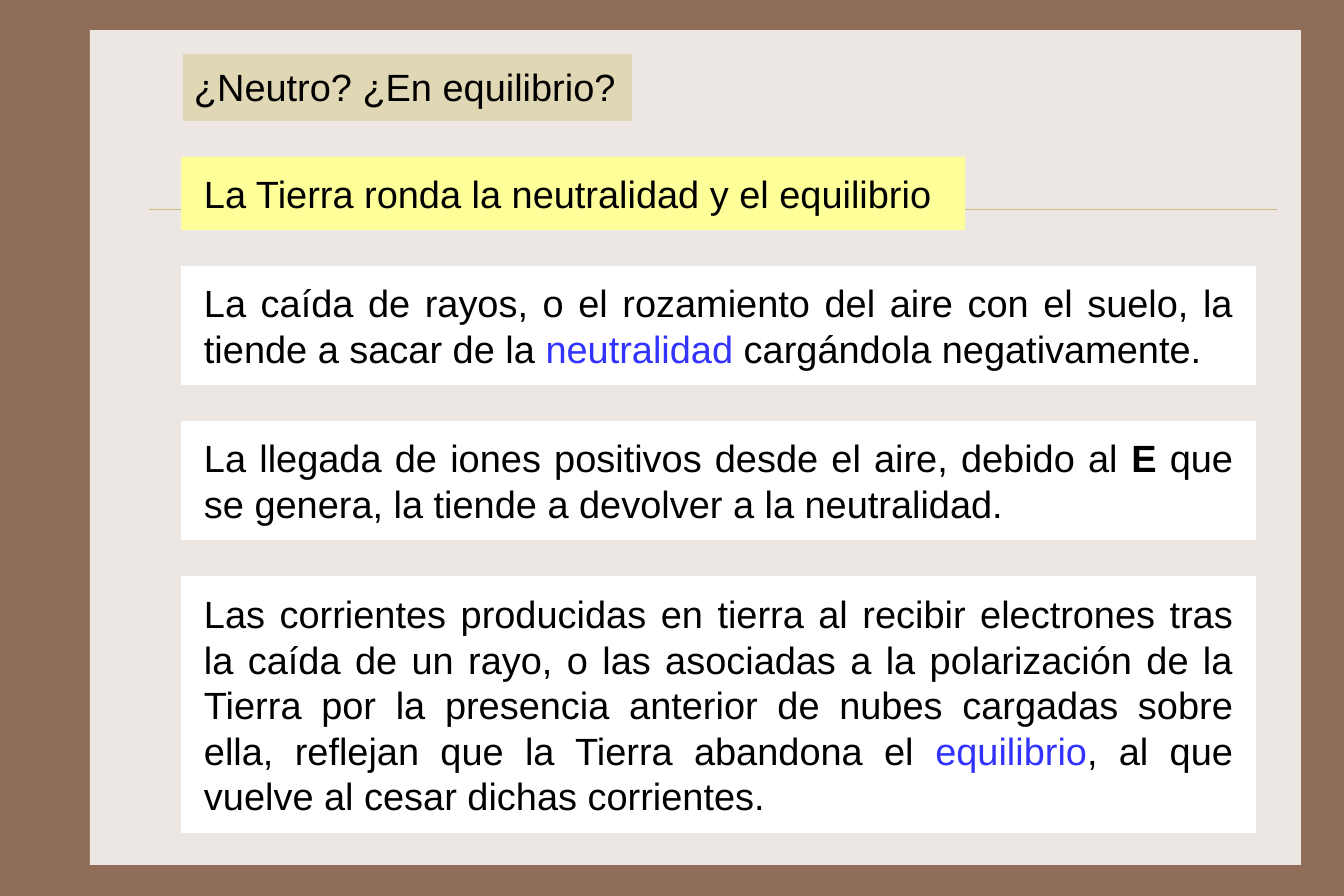
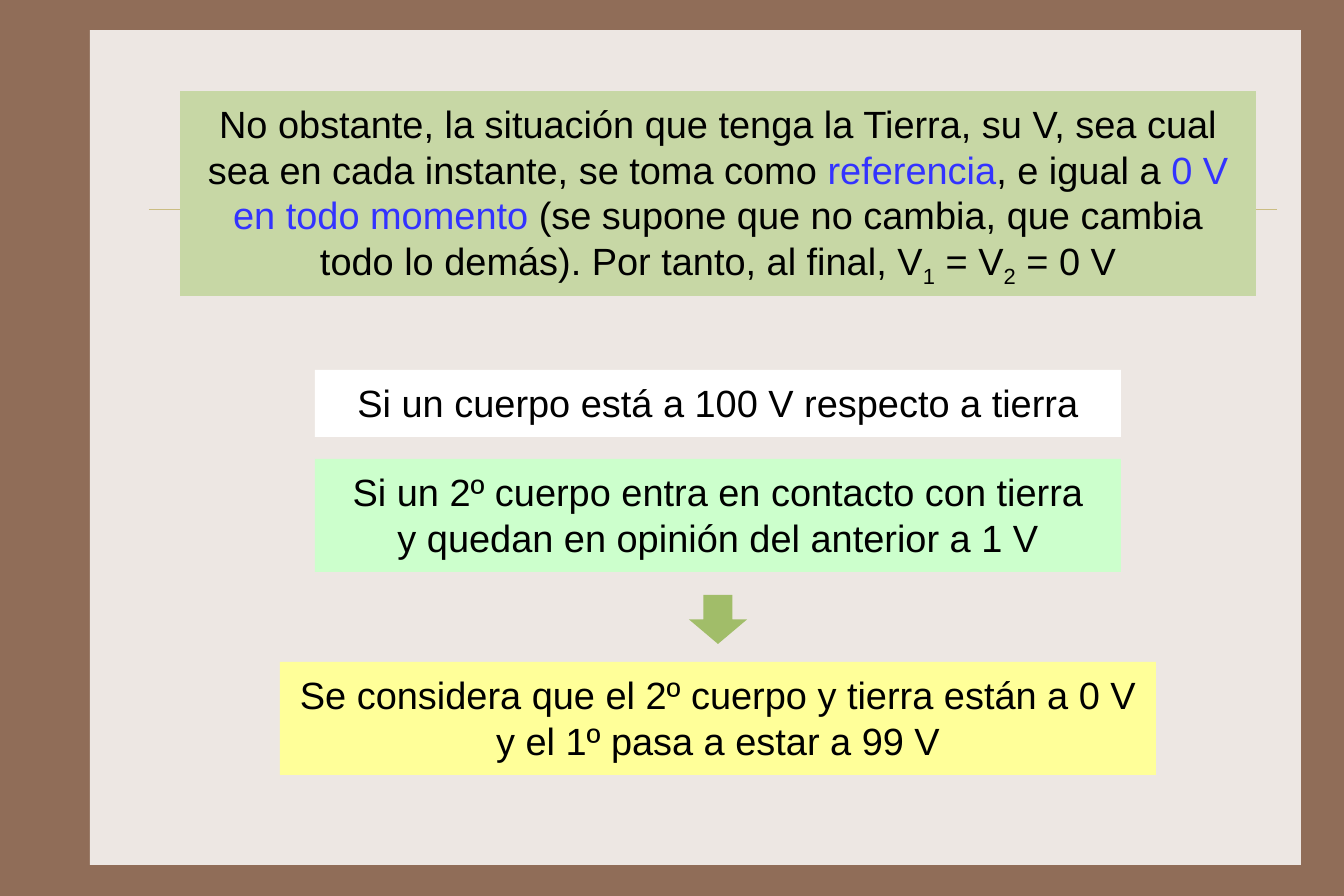
from dataclasses import dataclass
from typing import Optional

from lxml.etree import SubElement
from pptx import Presentation
from pptx.dml.color import RGBColor
from pptx.enum.shapes import MSO_CONNECTOR, MSO_SHAPE, PP_PLACEHOLDER
from pptx.enum.text import MSO_ANCHOR, MSO_AUTO_SIZE, PP_ALIGN
from pptx.oxml.ns import qn
from pptx.util import Emu, Pt

EMU_PER_PX = 8037
FONT = "Arial"
FONT_SIZE = Pt(24)

BROWN = RGBColor(0x90, 0x6D, 0x58)
PANEL = RGBColor(0xED, 0xE7, 0xE3)
RULE = RGBColor(0xCB, 0xBD, 0x83)
SAND = RGBColor(0xE0, 0xD7, 0xB5)
SAGE = RGBColor(0xC7, 0xD7, 0xA5)
LEAF = RGBColor(0xA1, 0xBD, 0x69)
YELLOW = RGBColor(0xFF, 0xFF, 0x99)
MINT = RGBColor(0xCC, 0xFF, 0xCC)
WHITE = RGBColor(0xFF, 0xFF, 0xFF)
BLACK = RGBColor(0x00, 0x00, 0x00)
BLUE = RGBColor(0x33, 0x33, 0xFF)

LEFT = 181
CENTER = 718
GAP = 36


@dataclass(frozen=True)
class Span:
    text: str
    color: Optional[RGBColor] = None
    bold: bool = False
    subscript: bool = False


@dataclass(frozen=True)
class BoxStyle:
    align: PP_ALIGN
    anchor: MSO_ANCHOR
    inset_x: int
    inset_y: int


@dataclass(frozen=True)
class Box:
    width: int
    height: int
    fill: RGBColor
    paras: list[list[Span]]


HEADING = BoxStyle(PP_ALIGN.LEFT, MSO_ANCHOR.TOP, 11, 10)
STATEMENT = BoxStyle(PP_ALIGN.JUSTIFY, MSO_ANCHOR.MIDDLE, 23, 14)
CENTERED = BoxStyle(PP_ALIGN.CENTER, MSO_ANCHOR.TOP, 11, 10)

NEUTRAL_TITLE = Box(449, 67, SAND, [[Span("¿Neutro? ¿En equilibrio?")]])
NEUTRAL_BOXES = [
    Box(784, 73, YELLOW, [[Span("La Tierra ronda la neutralidad y el equilibrio")]]),
    Box(1075, 119, WHITE, [[
        Span("La caída de rayos, o el rozamiento del aire con el suelo, "
             "la tiende a sacar de la "),
        Span("neutralidad", BLUE),
        Span(" cargándola negativamente."),
    ]]),
    Box(1075, 119, WHITE, [[
        Span("La llegada de iones positivos desde el aire, debido al "),
        Span("E", bold=True),
        Span(" que se genera, la tiende a devolver a la neutralidad."),
    ]]),
    Box(1075, 257, WHITE, [[
        Span("Las corrientes producidas en tierra al recibir electrones tras "
             "la caída de un rayo, o las asociadas a la polarización de la "
             "Tierra por la presencia anterior de nubes cargadas sobre ella, "
             "reflejan que la Tierra abandona el "),
        Span("equilibrio", BLUE),
        Span(", al que vuelve al cesar dichas corrientes."),
    ]]),
]

REFERENCE_TITLE = Box(1076, 205, SAGE, [[
    Span("No obstante, la situación que tenga la Tierra, su V, sea cual sea "
         "en cada instante, se toma como "),
    Span("referencia", BLUE),
    Span(", e igual a "),
    Span("0 V en todo momento", BLUE),
    Span(" (se supone que no cambia, que cambia todo lo demás). "
         "Por tanto, al final, V"),
    Span("1", subscript=True),
    Span(" = V"),
    Span("2", subscript=True),
    Span(" = 0 V"),
]])
REFERENCE_BOXES = [
    (370, Box(806, 67, WHITE, [[Span("Si un cuerpo está a 100 V respecto a tierra")]])),
    (459, Box(806, 113, MINT, [
        [Span("Si un 2º cuerpo entra en contacto con tierra")],
        [Span("y quedan en opinión del anterior a 1 V")],
    ])),
    (662, Box(876, 113, YELLOW, [
        [Span("Se considera que el 2º cuerpo y tierra están a 0 V")],
        [Span("y el 1º pasa a estar a 99 V")],
    ])),
]


def px(length: int) -> Emu:
    return Emu(length * EMU_PER_PX)


def add_filled(page, preset: MSO_SHAPE, left: int, top: int, width: int,
               height: int, color: RGBColor):
    shape = page.shapes.add_shape(preset, px(left), px(top), px(width), px(height))
    shape.shadow.inherit = False
    shape.fill.solid()
    shape.fill.fore_color.rgb = color
    shape.line.fill.background()
    return shape


def write_spans(para, spans: list[Span]) -> None:
    for span in spans:
        run = para.add_run()
        run.text = span.text
        if span.color is not None:
            run.font.color.rgb = span.color
        if span.bold:
            run.font.bold = True
        if span.subscript:
            run.font._element.set("baseline", "-25000")


def write_box(shape, box: Box, style: BoxStyle) -> None:
    frame = shape.text_frame
    frame.word_wrap = True
    frame.auto_size = MSO_AUTO_SIZE.NONE
    frame.vertical_anchor = style.anchor
    frame.margin_left = frame.margin_right = px(style.inset_x)
    frame.margin_top = frame.margin_bottom = px(style.inset_y)
    for index, spans in enumerate(box.paras):
        para = frame.add_paragraph() if index else frame.paragraphs[0]
        para.alignment = style.align
        para.font.name = FONT
        para.font.size = FONT_SIZE
        para.font.color.rgb = BLACK
        write_spans(para, spans)


def add_box(page, left: int, top: int, box: Box, style: BoxStyle) -> None:
    shape = add_filled(page, MSO_SHAPE.RECTANGLE, left, top,
                       box.width, box.height, box.fill)
    write_box(shape, box, style)


def place_title(page, left: int, top: int, box: Box, style: BoxStyle) -> None:
    title = page.shapes.title
    title.left, title.top = px(left), px(top)
    title.width, title.height = px(box.width), px(box.height)
    title.fill.solid()
    title.fill.fore_color.rgb = box.fill
    write_box(title, box, style)


def decorate_layout(layout, page) -> None:
    layout.background.fill.solid()
    layout.background.fill.fore_color.rgb = BROWN
    for holder in list(layout.placeholders):
        if holder.placeholder_format.type != PP_PLACEHOLDER.TITLE:
            holder.element.getparent().remove(holder.element)
    panel = add_filled(page, MSO_SHAPE.RECTANGLE, 90, 30, 1211, 835, PANEL)
    rule = page.shapes.add_connector(
        MSO_CONNECTOR.STRAIGHT, px(149), px(209), px(1277), px(209))
    rule.line.color.rgb = RULE
    rule.line.width = Pt(0.25)
    SubElement(rule.element.spPr, qn("a:effectLst"))
    for position, shape in enumerate((panel, rule), start=2):
        layout.shapes.element.insert(position, shape.element)


def build_neutral_page(page) -> None:
    top = 54
    place_title(page, LEFT + 2, top, NEUTRAL_TITLE, HEADING)
    top += NEUTRAL_TITLE.height + GAP
    for box in NEUTRAL_BOXES:
        add_box(page, LEFT, top, box, STATEMENT)
        top += box.height + GAP


def build_reference_page(page) -> None:
    place_title(page, CENTER - REFERENCE_TITLE.width // 2, 91,
                REFERENCE_TITLE, CENTERED)
    for top, box in REFERENCE_BOXES:
        add_box(page, CENTER - box.width // 2, top, box, CENTERED)
    add_filled(page, MSO_SHAPE.DOWN_ARROW, CENTER - 29, 595, 58, 49, LEAF)


def main() -> None:
    deck = Presentation()
    deck.slide_width, deck.slide_height = px(1344), px(896)
    layout = deck.slide_layouts[5]
    neutral_page = deck.slides.add_slide(layout)
    decorate_layout(layout, neutral_page)
    build_neutral_page(neutral_page)
    build_reference_page(deck.slides.add_slide(layout))
    deck.save("out.pptx")


if __name__ == "__main__":
    main()
